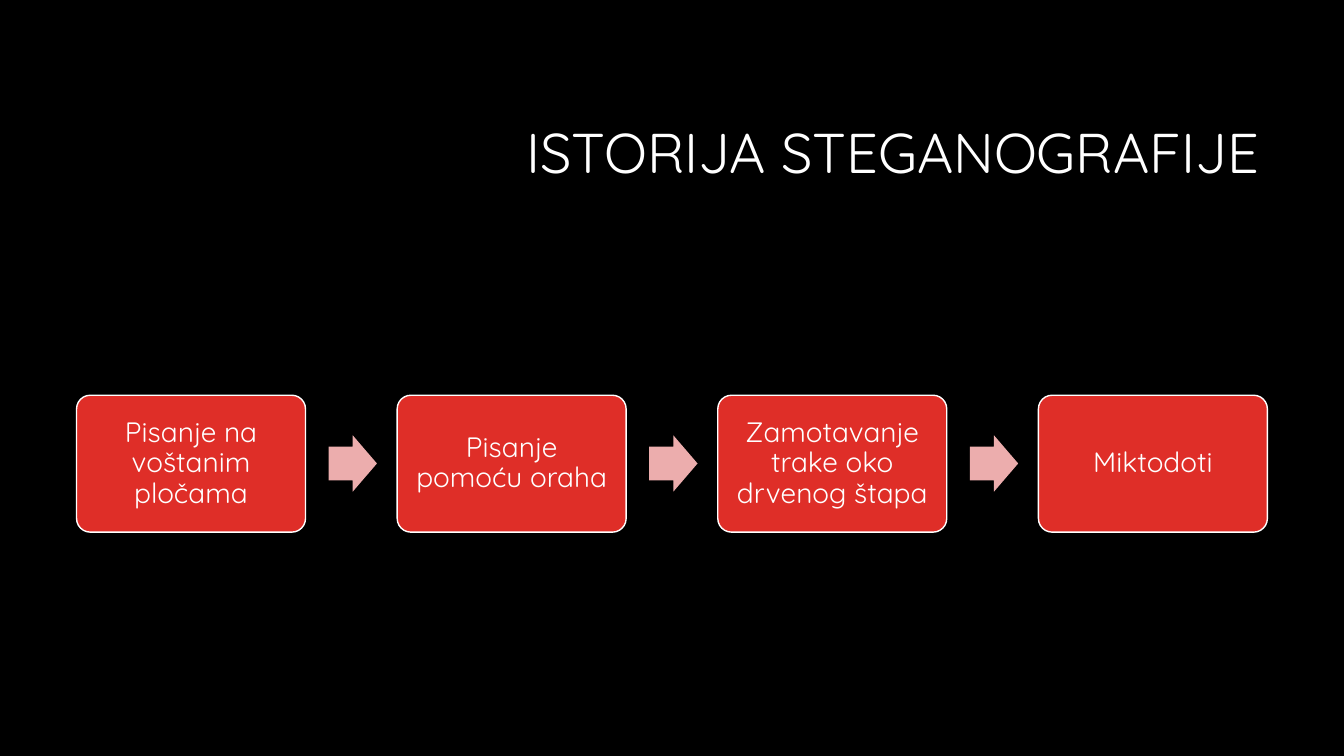
from dataclasses import dataclass

from pptx import Presentation
from pptx.dml.color import RGBColor
from pptx.enum.shapes import MSO_SHAPE as Shape
from pptx.enum.text import MSO_ANCHOR as Anchor, PP_ALIGN as Align
from pptx.shapes.autoshape import Shape as AutoShape
from pptx.slide import Slide
from pptx.text.text import TextFrame
from pptx.util import Cm, Pt

FONT = "Quicksand"
BLACK, WHITE, RED, PINK = "000000", "FFFFFF", "DF2E28", "ECADAD"
STEP_PITCH = 8.08
STEPS = [
    "Pisanje na voštanim pločama",
    "Pisanje pomoću oraha",
    "Zamotavanje trake oko drvenog štapa",
    "Miktodoti",
]


@dataclass(frozen=True)
class Box:
    """Position and size in centimetres."""
    left: float
    top: float
    width: float
    height: float

    def shifted(self, distance: float) -> "Box":
        return Box(self.left + distance, self.top, self.width, self.height)

    def lengths(self) -> tuple[Cm, Cm, Cm, Cm]:
        return Cm(self.left), Cm(self.top), Cm(self.width), Cm(self.height)


TITLE_BOX = Box(8.05, 2.13, 23.93, 3.58)
STEP_BOX = Box(1.93, 9.96, 5.77, 3.45)
ARROW_BOX = Box(8.28, 10.97, 1.22, 1.42)


def color(value: str) -> RGBColor:
    return RGBColor.from_string(value)


def write_text(frame: TextFrame, text: str, size: int, alignment: Align) -> None:
    frame.text = text
    frame.word_wrap = True
    frame.vertical_anchor = Anchor.MIDDLE
    paragraph = frame.paragraphs[0]
    paragraph.alignment = alignment
    paragraph.line_spacing = 0.9
    font = paragraph.runs[0].font
    font.name = FONT
    font.size = Pt(size)
    font.color.rgb = color(WHITE)


def add_filled_shape(slide: Slide, kind: Shape, box: Box, fill: str,
                     adjustments: list[float]) -> AutoShape:
    shape = slide.shapes.add_shape(kind, *box.lengths())
    shape.shadow.inherit = False
    shape.fill.solid()
    shape.fill.fore_color.rgb = color(fill)
    for index, adjustment in enumerate(adjustments):
        shape.adjustments[index] = adjustment
    return shape


def add_step(slide: Slide, box: Box, text: str) -> None:
    shape = add_filled_shape(slide, Shape.ROUNDED_RECTANGLE, box, RED, [0.1])
    shape.line.color.rgb = color(WHITE)
    shape.line.width = Pt(1)
    frame = shape.text_frame
    frame.margin_left = frame.margin_right = Cm(0.2)
    frame.margin_top = frame.margin_bottom = Cm(0.2)
    write_text(frame, text, 20, Align.CENTER)


def add_arrow(slide: Slide, box: Box) -> None:
    arrow = add_filled_shape(slide, Shape.RIGHT_ARROW, box, PINK, [0.6, 0.5])
    arrow.line.fill.background()


def main() -> None:
    presentation = Presentation()
    presentation.slide_width = Cm(33.87)
    presentation.slide_height = Cm(19.05)
    slide = presentation.slides.add_slide(presentation.slide_layouts[6])
    slide.background.fill.solid()
    slide.background.fill.fore_color.rgb = color(BLACK)

    title = slide.shapes.add_textbox(*TITLE_BOX.lengths())
    write_text(title.text_frame, "ISTORIJA STEGANOGRAFIJE", 40, Align.RIGHT)

    for index, text in enumerate(STEPS):
        offset = index * STEP_PITCH
        add_step(slide, STEP_BOX.shifted(offset), text)
        if index < len(STEPS) - 1:
            add_arrow(slide, ARROW_BOX.shifted(offset))

    presentation.save("out.pptx")


if __name__ == "__main__":
    main()
